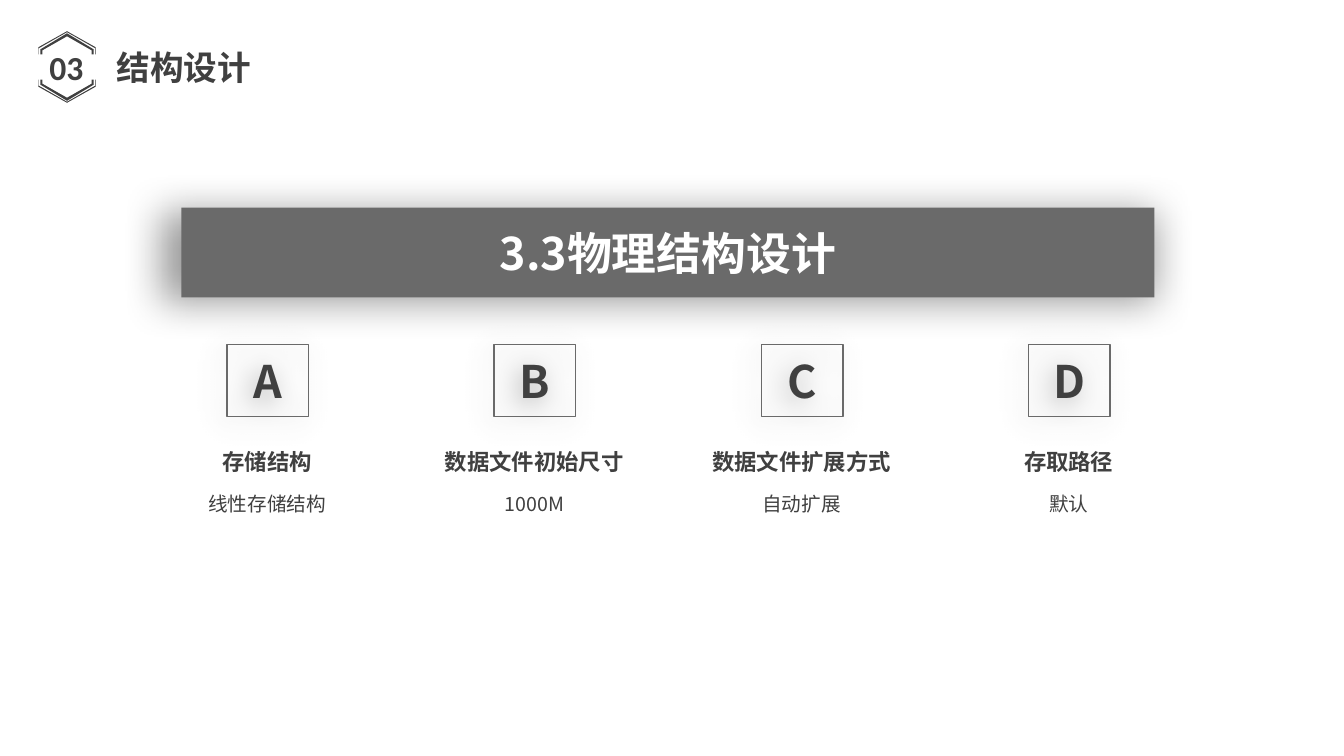
"""Build the slide on physical structure design."""
from lxml import etree
from pptx import Presentation, util as u
from pptx.dml.color import RGBColor
from pptx.enum import shapes, text
from pptx.oxml.ns import qn

WHITE = RGBColor(0xFF, 0xFF, 0xFF)
GREY = RGBColor(0x6A, 0x6A, 0x6A)
DARK = RGBColor(0x40, 0x40, 0x40)
CELL = u.Inches(0.1)
SETTINGS = [
    ("A", "存储结构", "线性存储结构"),
    ("B", "数据文件初始尺寸", "1000M"),
    ("C", "数据文件扩展方式", "自动扩展"),
    ("D", "存取路径", "默认"),
]
BADGE_CENTRE = (6.65, 6.65)
BADGE_RINGS = [((57, 39, 71), (56, 37, 69)), ((53, 35, 67), (49, 33, 61))]


class SlideBuilder:
    """Style and current slide; lengths are columns and rows of a 0.1 inch grid."""

    font_name = "Noto Sans CJK SC"

    def __init__(self, presentation):
        self.slide = presentation.slides.add_slide(presentation.slide_layouts[5])

    def place(self, *lengths):
        return [round(length * CELL) for length in lengths]

    def set_text(self, shape, words, size, color=DARK, bold=True, font_name=None,
                 anchor=text.MSO_ANCHOR.TOP, wrap=True, spacing=1.0):
        frame = shape.text_frame
        frame.text = words
        frame.word_wrap = wrap
        frame.auto_size = text.MSO_AUTO_SIZE.NONE
        frame.vertical_anchor = anchor
        paragraph = frame.paragraphs[0]
        paragraph.alignment = text.PP_ALIGN.CENTER
        paragraph.line_spacing = spacing
        font = paragraph.font
        font.size, font.bold = u.Pt(size), bold
        font.name = font_name or self.font_name
        font.color.rgb = color
        defaults = paragraph._p.pPr.find(qn("a:defRPr"))
        etree.SubElement(defaults, qn("a:ea"), typeface=font.name)

    def title(self, box, words, size):
        shape = self.slide.shapes.title
        shape.left, shape.top, shape.width, shape.height = self.place(*box)
        self.set_text(shape, words, size, wrap=False)

    def label(self, box, words, size, **style):
        shape = self.slide.shapes.add_textbox(*self.place(*box))
        self.set_text(shape, words, size, **style)

    def panel(self, box, words, shadow, fill=None, color=DARK):
        shape = self.slide.shapes.add_shape(
            shapes.MSO_SHAPE.RECTANGLE, *self.place(*box))
        if fill is None:
            shape.fill.background()
            shape.line.color.rgb = GREY
            shape.line.width = u.Pt(1)
        else:
            shape.fill.solid()
            shape.fill.fore_color.rgb = fill
            shape.line.fill.background()
        self.cast_shadow(shape, **shadow)
        self.set_text(shape, words, 32, color, anchor=text.MSO_ANCHOR.MIDDLE)

    def cast_shadow(self, shape, blur, distance, angle, **scaling):
        shape.shadow.inherit = False
        effects = shape._element.spPr.find(qn("a:effectLst"))
        shadow = etree.SubElement(
            effects, qn("a:outerShdw"), blurRad=str(u.Pt(blur)),
            dist=str(u.Pt(distance)), dir=str(angle * 60000), rotWithShape="0",
            **scaling)
        color = etree.SubElement(shadow, qn("a:srgbClr"), val="000000")
        etree.SubElement(color, qn("a:alpha"), val="40000")

    def chevron(self, outer, inner, direction):
        def outline(half, shoulder, peak):
            rises = [(-half, 25), (-half, shoulder), (0, peak),
                     (half, shoulder), (half, 25)]
            return [(x, rise * direction) for x, rise in rises]

        points = outline(*outer) + outline(*inner)[::-1]
        builder = self.slide.shapes.build_freeform(*points[0], scale=CELL / 20)
        builder.add_line_segments(points[1:], close=True)
        shape = builder.convert_to_shape(*self.place(*BADGE_CENTRE))
        shape.shadow.inherit = False
        shape.fill.solid()
        shape.fill.fore_color.rgb = DARK
        shape.line.fill.background()


def main():
    presentation = Presentation()
    presentation.slide_width = u.Inches(13.33)
    presentation.slide_height = u.Inches(7.5)
    builder = SlideBuilder(presentation)

    builder.title((10.5, 4.2, 15.5, 5), "结构设计", 24)
    builder.label((2.8, 3.7, 7.6, 6), "03", 24, font_name="Calibri",
                  anchor=text.MSO_ANCHOR.MIDDLE)
    for outer, inner in BADGE_RINGS:
        for direction in (-1, 1):
            builder.chevron(outer, inner, direction)

    builder.panel((18, 20.6, 96.5, 8.9), "3.3物理结构设计",
                  dict(blur=28, distance=3, angle=89, sx="102000", algn="r"),
                  fill=GREY, color=WHITE)
    for index, (letter, heading, value) in enumerate(SETTINGS):
        centre = 26.5 + 26.5 * index
        builder.panel((centre - 4, 34.2, 8.1, 7.1), letter,
                      dict(blur=21, distance=5, angle=135))
        builder.label((centre - 10, 44, 20, 3.7), heading, 16, wrap=False)
        builder.label((centre - 9, 47.1, 18, 4.1), value, 14, bold=False,
                      spacing=1.5)
    presentation.save("out.pptx")


if __name__ == "__main__":
    main()
